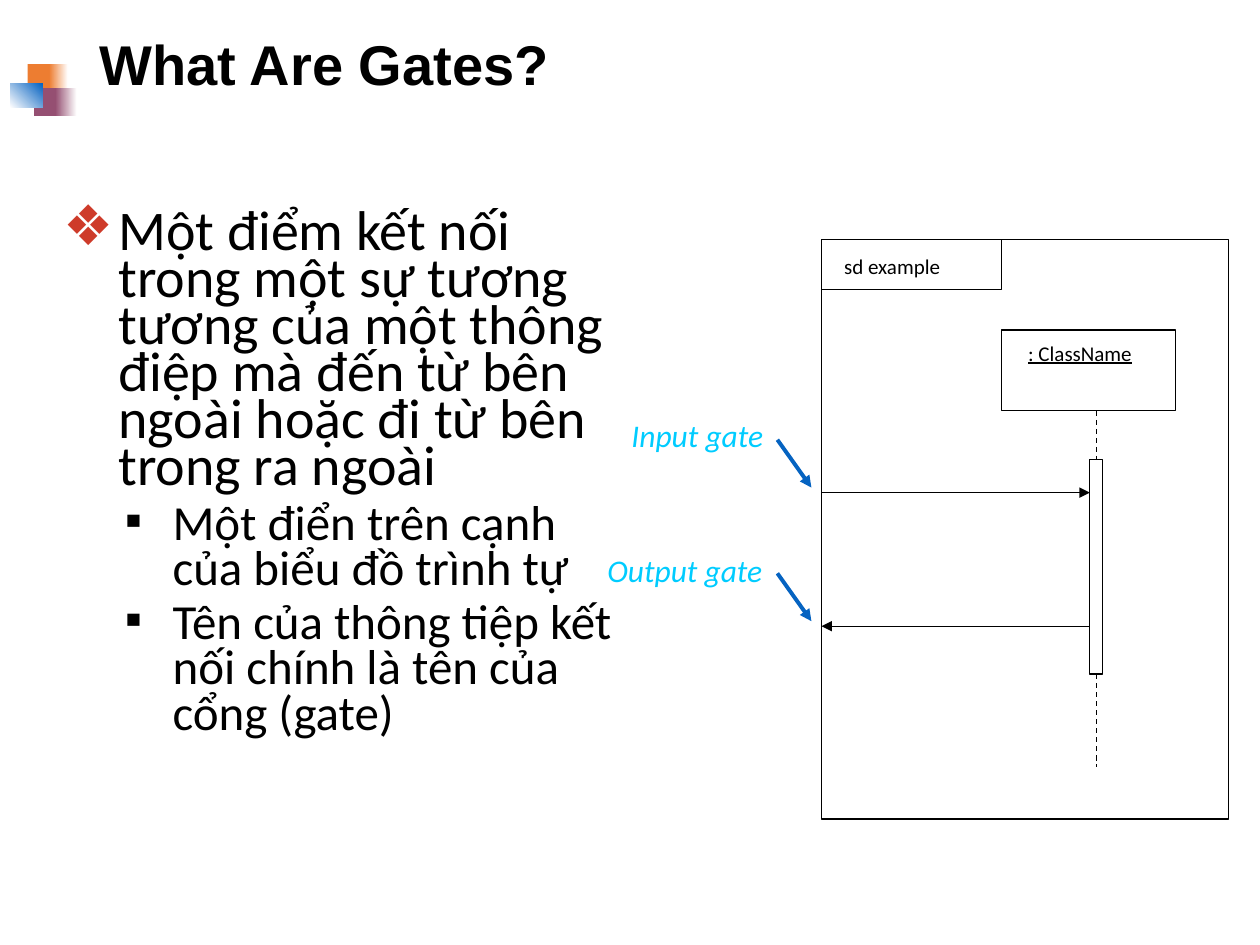
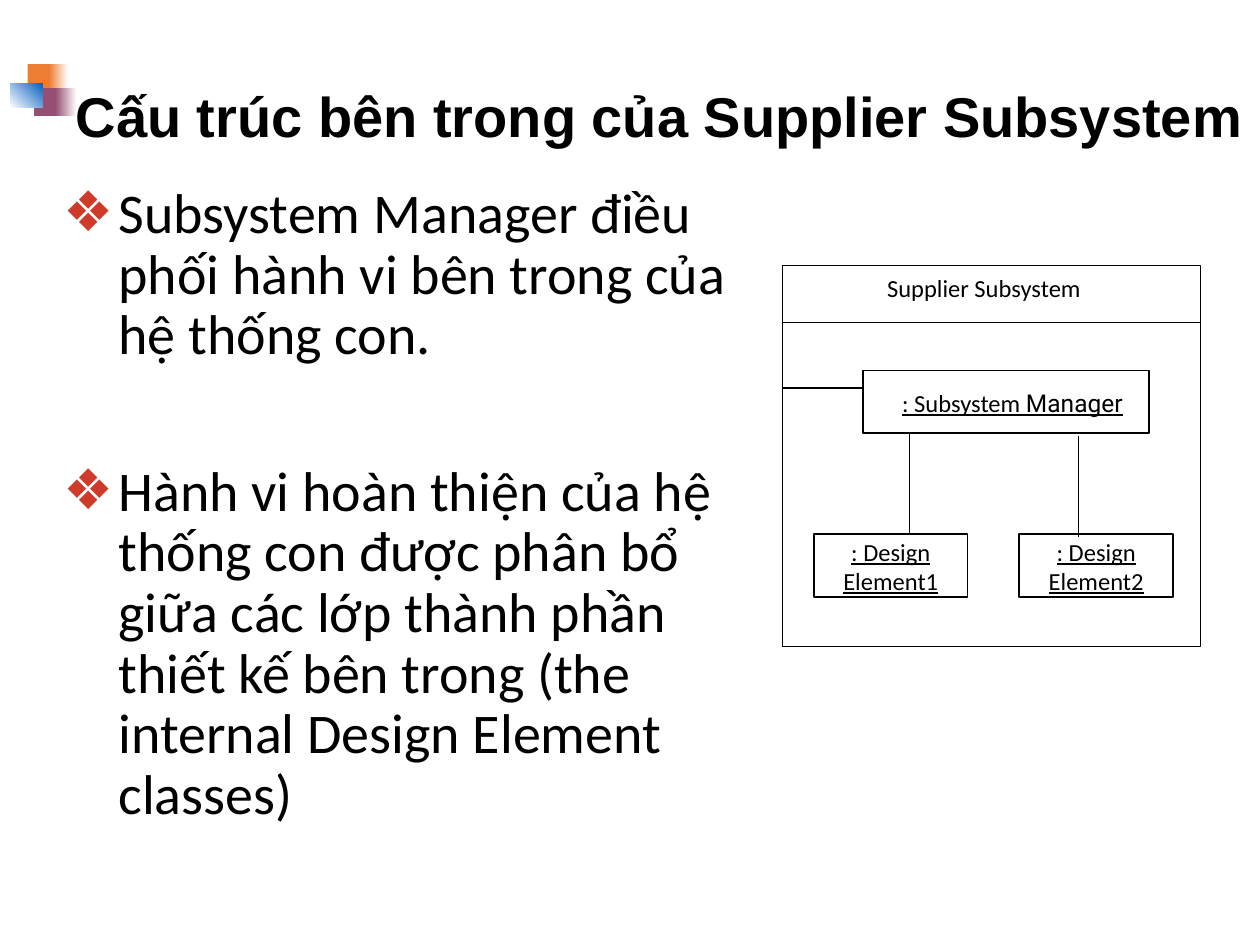
from lxml import etree
from pptx import Presentation
from pptx.dml.color import RGBColor
from pptx.enum.dml import MSO_LINE
from pptx.enum.shapes import MSO_CONNECTOR, MSO_SHAPE
from pptx.enum.text import MSO_ANCHOR, MSO_AUTO_SIZE, PP_ALIGN
from pptx.oxml.ns import qn
from pptx.util import Inches, Pt

RECTANGLE = MSO_SHAPE.RECTANGLE
STRAIGHT = MSO_CONNECTOR.STRAIGHT
DASH = MSO_LINE.DASH
MIDDLE, TOP = MSO_ANCHOR.MIDDLE, MSO_ANCHOR.TOP
LEFT, CENTER = PP_ALIGN.LEFT, PP_ALIGN.CENTER
NO_FIT = MSO_AUTO_SIZE.NONE

COLORS = {
    "ink": "000000",
    "paper": "FFFFFF",
    "orange": "ED7D31",
    "plum": "954F72",
    "blue": "0563C1",
    "gate": "00CCFF",
    "bullet": "CE3B2A",
}
TITLE_FONT, BODY_FONT, ACCENT_FONT = "Arial", "Calibri", "Roboto"


def color(name):
    return RGBColor.from_string(COLORS[name])


def style_font(font, size, name=BODY_FONT, tint="ink", **flags):
    font.size = Pt(size)
    font.name = name
    font.color.rgb = color(tint)
    for flag, value in flags.items():
        setattr(font, flag, value)


MOTIF = [
    ((0.22, 0.51, 0.20, 0.22), ["orange"], 0),
    ((0.39, 0.51, 0.15, 0.22), ["orange", "paper"], 0),
    ((0.27, 0.70, 0.19, 0.22), ["plum"], 0),
    ((0.44, 0.70, 0.17, 0.22), ["plum", "paper"], 0),
    ((0.08, 0.66, 0.26, 0.19), ["paper", "blue"], 45),
]
LEVELS = [
    {"size": 32, "indent": 0.44, "hang": 0.44, "mark": "❖", "tint": "bullet"},
    {"size": 28, "indent": 0.87, "hang": 0.38, "mark": "▪", "tint": "ink"},
]

FRAME_LEFT, FRAME_TOP = 6.52, 1.9
BAR_LEFT, BAR_TOP, BAR_BOTTOM = 8.65, 3.65, 5.35
LIFELINE = 8.7
INPUT_ROW, OUTPUT_ROW = 3.91, 4.97
POINTER_LEFT, POINTER_RIGHT, POINTER_DROP = 6.17, 6.44, 0.38

gate_lines = [
    ((LIFELINE, 3.26, LIFELINE, BAR_TOP), {"dash": True}),
    ((LIFELINE, BAR_BOTTOM, LIFELINE, 6.09), {"dash": True}),
    ((FRAME_LEFT, INPUT_ROW, BAR_LEFT, INPUT_ROW), {"arrow": True}),
    ((BAR_LEFT, OUTPUT_ROW, FRAME_LEFT, OUTPUT_ROW), {"arrow": True}),
]
for gate_row in (INPUT_ROW, OUTPUT_ROW):
    start = gate_row - 0.42
    gate_lines.append((
        (POINTER_LEFT, start, POINTER_RIGHT, start + POINTER_DROP),
        {"arrow": True, "tint": "blue", "width": 2.25},
    ))

SYSTEM_LEFT, SYSTEM_RIGHT = 6.21, 9.53
MANAGER_LEFT, MANAGER_TOP = 6.85, 2.94
ELEMENT_LEFT, ELEMENT_STEP, ELEMENT_TOP = 6.46, 1.63, 4.24
BOX_HEIGHT = 0.5
MANAGER_BOTTOM = MANAGER_TOP + BOX_HEIGHT

system_boxes = [
    ((SYSTEM_LEFT, 2.11, SYSTEM_RIGHT - SYSTEM_LEFT, 3.02), 0.75),
    ((MANAGER_LEFT, MANAGER_TOP, 2.27, BOX_HEIGHT), 1),
]
system_lines = [
    ((SYSTEM_LEFT, 2.56, SYSTEM_RIGHT, 2.56), {}),
    ((MANAGER_LEFT, 3.08, SYSTEM_LEFT, 3.08), {}),
]
system_labels = [
    ((6.92, 2.11, 1.96, 0.35), [["Supplier Subsystem"]], 14, {}),
    ((7.09, 3.08, 1.89, 0.23), [[": Subsystem ", "Manager"]], 14, {"underline": True}),
]
for column, (link, shift) in enumerate([(7.22, 0), (8.56, 0.02)]):
    left = ELEMENT_LEFT + column * ELEMENT_STEP
    system_boxes.append(((left, ELEMENT_TOP, 1.22, BOX_HEIGHT), 1))
    system_lines.append(((link, MANAGER_BOTTOM + shift, link, ELEMENT_TOP + shift), {}))
    system_labels.append((
        (left + 0.2, ELEMENT_TOP + 0.02, 0.82, 0.47),
        [[": Design"], [f"Element{column + 1}"]], 14, {"underline": True},
    ))

PAGES = [
    {
        "title": "What Are Gates?",
        "title_at": (0.69, 0.13, 8.62, 0.81),
        "body_at": (0.4, 1.64, 4.6, 5.02),
        "items": [
            (0, "Một điểm kết nối trong một sự tương tương của một thông điệp mà "
                "đến từ bên ngoài hoặc đi từ bên trong ra ngoài", 0.7, 10),
            (1, "Một điển trên cạnh của biểu đồ trình tự", 0.77, 5),
            (1, "Tên của thông tiệp kết nối chính là tên của cổng (gate)", 0.77, 5),
        ],
        "boxes": [
            ((FRAME_LEFT, FRAME_TOP, 3.23, 4.6), 0.75),
            ((FRAME_LEFT, FRAME_TOP, 1.43, 0.4), 0.75),
            ((7.95, 2.62, 1.38, 0.64), 0.75),
            ((BAR_LEFT, BAR_TOP, 0.1, BAR_BOTTOM - BAR_TOP), 0.75),
        ],
        "lines": gate_lines,
        "labels": [
            ((4.86, 3.24, 1.35, 0.42), [["Input gate"]], 18, {"tint": "gate", "italic": True}),
            ((4.7, 4.31, 1.65, 0.42), [["Output gate"]], 18, {"tint": "gate", "italic": True}),
            ((6.58, 1.95, 1.38, 0.32), [["sd example"]], 12, {}),
            ((8.04, 2.64, 1.31, 0.32), [[": ClassName"]], 12, {"underline": True}),
        ],
    },
    {
        "title": "Cấu trúc bên trong của Supplier Subsystem",
        "title_at": (0.5, 0.58, 9.5, 0.74),
        "body_at": (0.4, 1.42, 5.48, 5.33),
        "items": [
            (0, "Subsystem Manager điều phối hành vi bên trong của hệ thống con.", 0.9, 10),
            (0, "Hành vi hoàn thiện của hệ thống con được phân bổ giữa các lớp thành "
                "phần thiết kế bên trong (the internal Design Element classes)", 0.9, 55),
        ],
        "boxes": system_boxes,
        "lines": system_lines,
        "labels": system_labels,
    },
]

deck = Presentation()
deck.slide_width, deck.slide_height = Inches(10), Inches(7.5)
layout = deck.slide_layouts[1]

for content in PAGES:
    page = deck.slides.add_slide(layout)
    title, body = page.shapes.title, page.placeholders[1]
    for holder, place, anchor in ((title, "title_at", MIDDLE), (body, "body_at", TOP)):
        holder.left, holder.top, holder.width, holder.height = map(Inches, content[place])
        holder.text_frame.auto_size = NO_FIT
        holder.text_frame.vertical_anchor = anchor

    title.text_frame.text = content["title"]
    para = title.text_frame.paragraphs[0]
    para.alignment = LEFT
    para.line_spacing = 0.9
    style_font(para.font, 32, TITLE_FONT, bold=True)

    body.text_frame.text = "\n".join(item[1] for item in content["items"])
    for para, (level, _, spacing, before) in zip(body.text_frame.paragraphs, content["items"]):
        look = LEVELS[level]
        para.level = level
        para.line_spacing = spacing
        para.space_before = Pt(before)
        props = para._p.get_or_add_pPr()
        props.set("marL", str(Inches(look["indent"])))
        props.set("indent", str(-Inches(look["hang"])))
        tint = etree.SubElement(props, qn("a:buClr"))
        etree.SubElement(tint, qn("a:srgbClr"), val=COLORS[look["tint"]])
        etree.SubElement(props, qn("a:buChar"), char=look["mark"])
        style_font(para.font, look["size"])

    for place, width in content["boxes"]:
        box = page.shapes.add_shape(RECTANGLE, *map(Inches, place))
        box.shadow.inherit = False
        box.fill.background()
        box.line.color.rgb = color("ink")
        box.line.width = Pt(width)

    for ends, look in content["lines"]:
        link = page.shapes.add_connector(STRAIGHT, *map(Inches, ends))
        link.line.color.rgb = color(look.get("tint", "ink"))
        link.line.width = Pt(look.get("width", 0.75))
        if look.get("dash"):
            link.line.dash_style = DASH
        outline = link.element.spPr
        if look.get("arrow"):
            etree.SubElement(outline.find(qn("a:ln")), qn("a:tailEnd"), type="triangle")
        etree.SubElement(outline, qn("a:effectLst"))

    for place, rows, size, look in content["labels"]:
        label = page.shapes.add_textbox(*map(Inches, place))
        frame = label.text_frame
        tight = size == 14 and "underline" in look
        frame.word_wrap = not tight
        frame.margin_left = frame.margin_right = Inches(0 if tight else 0.12)
        frame.margin_top = frame.margin_bottom = Inches(0 if tight else 0.06)
        for index, spans in enumerate(rows):
            para = frame.add_paragraph() if index else frame.paragraphs[0]
            para.alignment = CENTER if tight or spans == ["Input gate"] else LEFT
            style_font(para.font, size, **look)
            for order, words in enumerate(spans):
                span = para.add_run()
                span.text = words
                if order:
                    span.font.name = ACCENT_FONT

for depth, (place, tints, angle) in enumerate(MOTIF):
    tile = page.shapes.add_shape(RECTANGLE, *map(Inches, place))
    tile.shadow.inherit = False
    tile.line.fill.background()
    if len(tints) == 1:
        tile.fill.solid()
        tile.fill.fore_color.rgb = color(tints[0])
    else:
        tile.fill.gradient()
        tile.fill.gradient_angle = angle
        for stop, tint in zip(tile.fill.gradient_stops, tints):
            stop.color.rgb = color(tint)
    layout.shapes.element.insert(2 + depth, tile.element)

deck.save("out.pptx")
